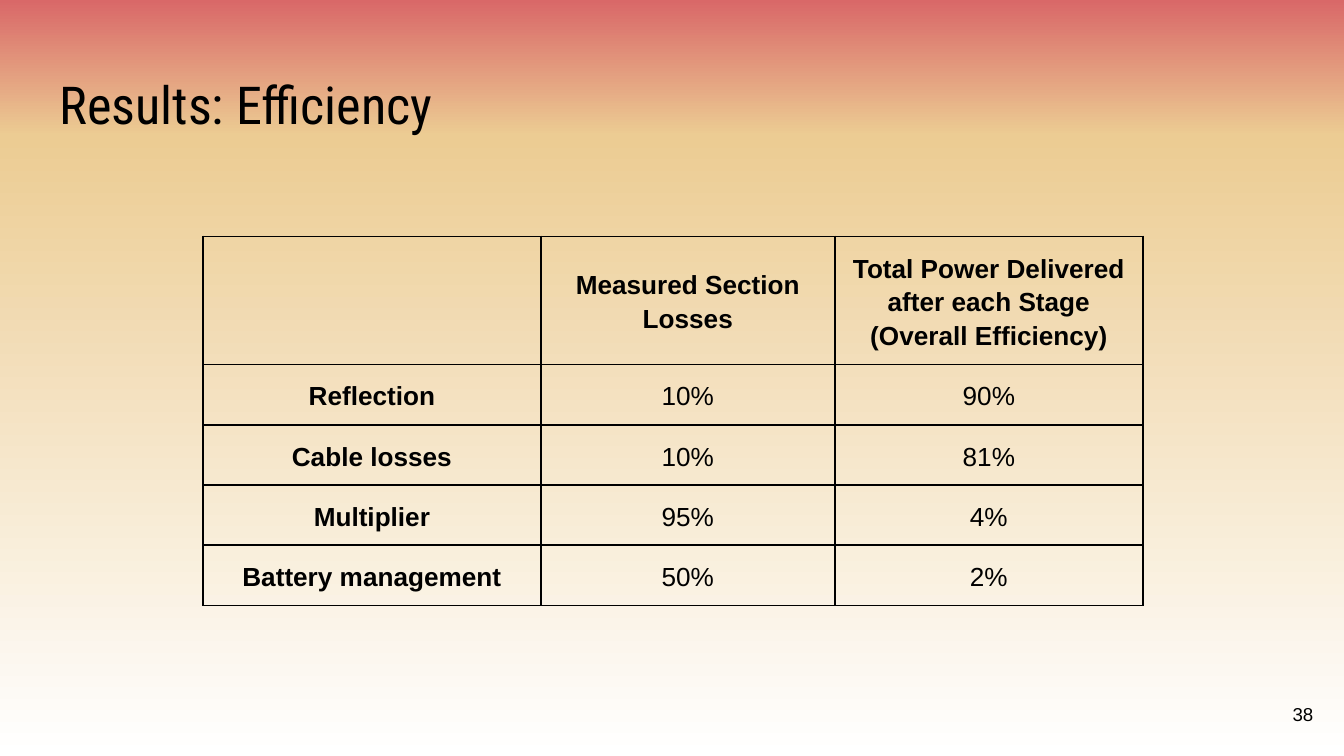
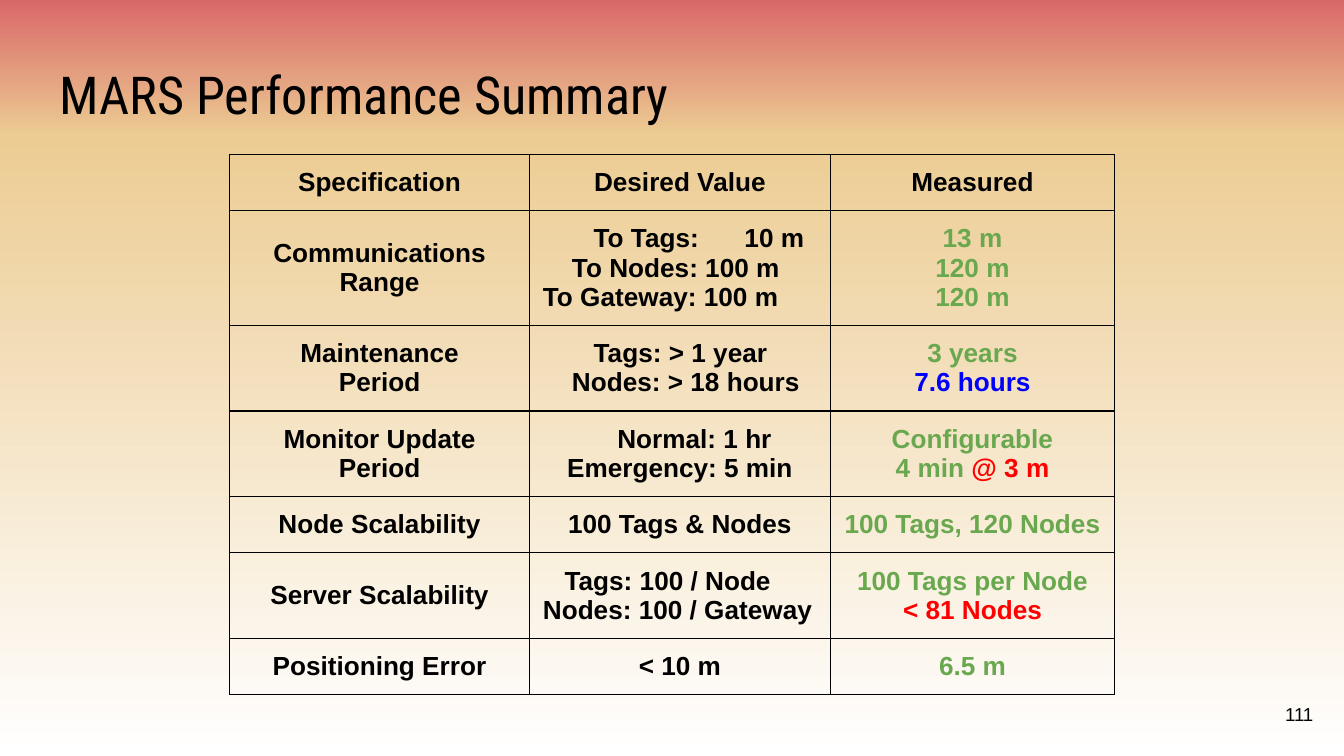
"""Build the efficiency results and performance summary slides."""
from copy import deepcopy

from lxml.etree import SubElement
from pptx import Presentation
from pptx.dml.color import RGBColor
from pptx.enum.text import MSO_ANCHOR, MSO_AUTO_SIZE, PP_ALIGN
from pptx.oxml.ns import qn
from pptx.util import Cm, Pt

BLACK = RGBColor(0x00, 0x00, 0x00)
GREEN = RGBColor(0x6A, 0xA8, 0x4F)
BLUE = RGBColor(0x00, 0x00, 0xFF)
RED = RGBColor(0xFF, 0x00, 0x00)
SKY = [(0, RGBColor(0xD9, 0x68, 0x68)), (0.18, RGBColor(0xEC, 0xCC, 0x93)),
       (1, RGBColor(0xFF, 0xFF, 0xFF))]
MARGIN = Cm(0.25)

LOSSES = [
    ["", "Measured Section Losses",
     "Total Power Delivered after each Stage (Overall Efficiency)"],
    ["Reflection", "10%", "90%"],
    ["Cable losses", "10%", "81%"],
    ["Multiplier", "95%", "4%"],
    ["Battery management", "50%", "2%"],
]

PERFORMANCE = [
    ["Specification", "Desired Value", [[("Measured", BLACK)]]],
    ["Communications\nRange", "To Tags:\t10 m\nTo Nodes: 100 m\nTo Gateway: 100 m",
     [[("13 m", GREEN)], [("120 m", GREEN)], [("120 m", GREEN)]]],
    ["Maintenance\nPeriod", "Tags: > 1 year\nNodes: > 18 hours",
     [[("3 years", GREEN)], [("7.6 hours", BLUE)]]],
    ["Monitor Update Period", "Normal: 1 hr\nEmergency: 5 min",
     [[("Configurable", GREEN)], [("4 min ", GREEN), ("@ 3 m", RED)]]],
    ["Node Scalability", "100 Tags & Nodes", [[("100 Tags, 120 Nodes", GREEN)]]],
    ["Server Scalability", "Tags: 100 / Node\nNodes: 100 / Gateway",
     [[("100 Tags per Node", GREEN)], [("< 81 Nodes", RED)]]],
    ["Positioning Error", "< 10 m", [[("6.5 m", GREEN)]]],
]
LEFT_ROWS = {1, 2, 5}
INDENTS = {
    "To Tags:\t10 m": 0.96, "To Nodes: 100 m": 0.55,
    "Tags: > 1 year": 0.96, "Nodes: > 18 hours": 0.55,
    "Normal: 1 hr": 0.55, "Tags: 100 / Node": 0.41,
}
VALUE_TAB = Cm(3.35)


def write(frame, text, *, size=14, font="Arial", bold=False, align=PP_ALIGN.CENTER,
          spacing=None):
    """Fill a frame from lines of text, or from lists of coloured runs."""
    lines = text
    if isinstance(text, str):
        lines = [[(line, BLACK)] for line in text.split("\n")]
    for number, line in enumerate(lines):
        paragraph = frame.add_paragraph() if number else frame.paragraphs[0]
        paragraph.alignment = align
        paragraph.line_spacing = spacing
        first = line[0][0]
        properties = paragraph._p.get_or_add_pPr()
        if first in INDENTS:
            properties.set("marL", "0")
            properties.set("indent", str(Cm(INDENTS[first])))
        if "\t" in first:
            tabs = SubElement(properties, qn("a:tabLst"))
            SubElement(tabs, qn("a:tab"), pos=str(VALUE_TAB), algn="l")
        for words, color in line:
            run = paragraph.add_run()
            run.text = words
            run.font.size = Pt(size)
            run.font.name = font
            run.font.bold = bold
            run.font.color.rgb = color


prs = Presentation()
prs.slide_width, prs.slide_height = Cm(25.4), Cm(14.29)

sky = prs.slide_master.background.fill
sky.gradient()
sky.gradient_angle = 270
stop_list = prs.slide_master.element.find(".//" + qn("a:gsLst"))
stop_list.append(deepcopy(stop_list[-1]))
for stop, (position, color) in zip(sky.gradient_stops, SKY):
    stop.position = position
    stop.color.rgb = color

SLIDES = [
    dict(heading="Results: Efficiency", top=1.24, number="38", rows=LOSSES,
         corner=(3.84, 4.47), widths=[6.38, 5.56, 5.82],
         heights=[2.42] + [1.14] * 4, border=1, side=0.18, spacing=1.15),
    dict(heading="MARS Performance Summary", top=1.04, number="111", rows=PERFORMANCE,
         corner=(4.34, 2.92), widths=[5.67, 5.68, 5.38],
         heights=[1.06, 2.17, 1.62, 1.62, 1.06, 1.62, 1.06],
         border=0.75, side=0.25, spacing=None),
]

for content in SLIDES:
    slide = prs.slides.add_slide(prs.slide_layouts[5])

    heading = slide.shapes.title
    heading.left, heading.top = Cm(0.87), Cm(content["top"])
    heading.width, heading.height = Cm(23.67), Cm(1.6)
    heading.text_frame.auto_size = MSO_AUTO_SIZE.NONE
    heading.text_frame.vertical_anchor = MSO_ANCHOR.TOP
    write(heading.text_frame, content["heading"], size=28, font="Roboto Condensed",
          align=PP_ALIGN.LEFT)

    rows, widths, heights = content["rows"], content["widths"], content["heights"]
    left, top = content["corner"]
    results = slide.shapes.add_table(len(rows), len(widths), Cm(left), Cm(top),
                                     Cm(sum(widths)), Cm(sum(heights))).table
    results.first_row = results.horz_banding = False
    for column, width in zip(results.columns, widths):
        column.width = Cm(width)
    for row, height in zip(results.rows, heights):
        row.height = Cm(height)

    for r, row in enumerate(rows):
        for c, text in enumerate(row):
            cell = results.cell(r, c)
            cell.vertical_anchor = MSO_ANCHOR.MIDDLE
            cell.margin_left = cell.margin_right = Cm(content["side"])
            cell.margin_top = cell.margin_bottom = MARGIN
            for edge in ("a:lnL", "a:lnR", "a:lnT", "a:lnB"):
                line = SubElement(cell._tc.get_or_add_tcPr(), qn(edge),
                                  w=str(Pt(content["border"])))
                SubElement(SubElement(line, qn("a:solidFill")), qn("a:srgbClr"),
                           val=str(BLACK))
            cell.fill.background()
            if text:
                is_summary = rows is PERFORMANCE
                is_left = is_summary and c == 1 and r in LEFT_ROWS
                write(cell.text_frame, text, bold=is_summary or r == 0 or c == 0,
                      align=PP_ALIGN.LEFT if is_left else PP_ALIGN.CENTER,
                      spacing=content["spacing"])

    page_number = slide.shapes.add_textbox(Cm(23.55), Cm(12.95), Cm(1.52), Cm(1.09))
    page_frame = page_number.text_frame
    page_frame.word_wrap = True
    page_frame.vertical_anchor = MSO_ANCHOR.MIDDLE
    page_frame.margin_top = page_frame.margin_bottom = MARGIN
    write(page_frame, content["number"], size=10, align=PP_ALIGN.RIGHT)

prs.save("out.pptx")
